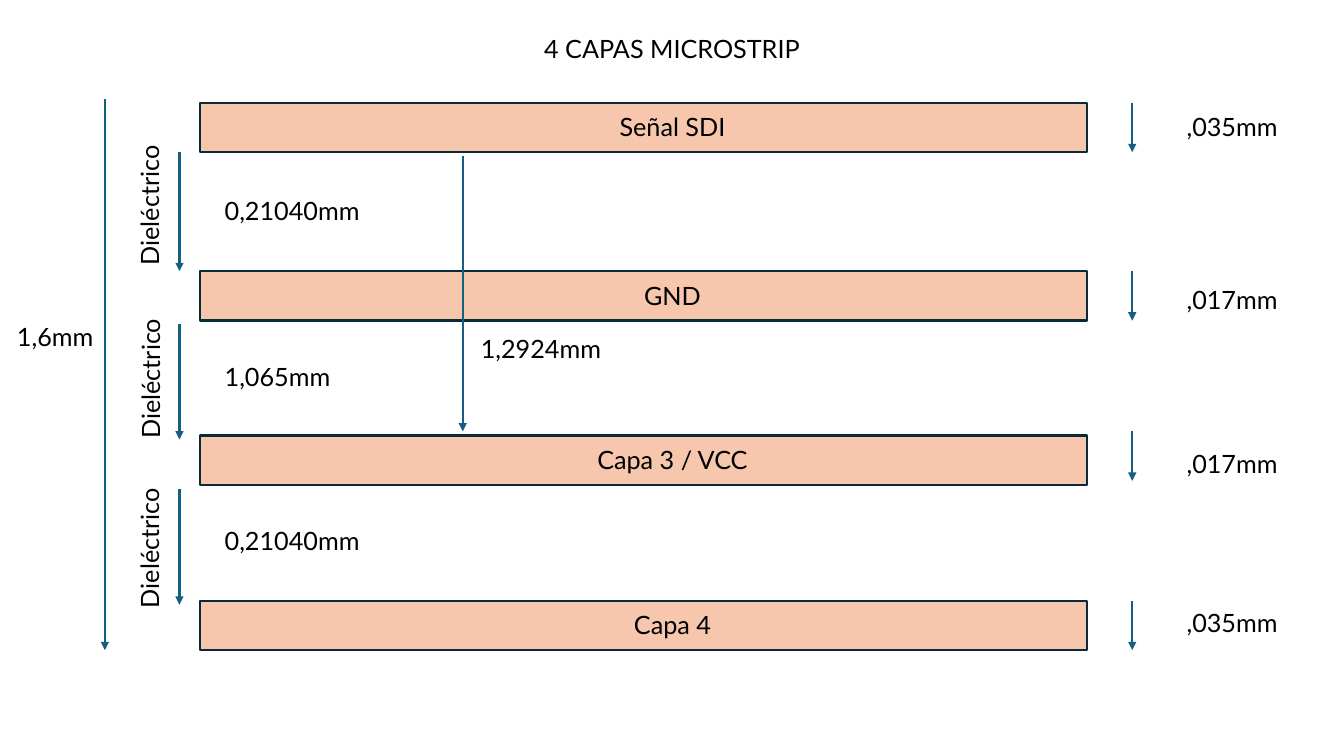
from pptx import Presentation
from pptx.dml.color import RGBColor
from pptx.enum.shapes import MSO_CONNECTOR, MSO_SHAPE
from pptx.enum.text import PP_ALIGN
from pptx.oxml.ns import qn
from pptx.util import Inches, Pt
from lxml.etree import SubElement

FONT = "Lato"
BLACK = "000000"
COPPER = "F6C6AD"
OUTLINE = "092A39"
ARROW = "156082"
LAYER_LEFT, LAYER_WIDTH, LAYER_HEIGHT = 1.98, 8.8, 0.49
LABEL_HEIGHT = 0.4

LAYERS = [
    ("Señal SDI", 1.02, ",035mm", 0, 0.04),
    ("GND", 2.69, ",017mm", 0, 0.08),
    ("Capa 3 / VCC", 4.32, ",017mm", -0.04, 0.08),
    ("Capa 4", 5.96, ",035mm", 0, 0.02),
]
DIELECTRICS = [
    ("0,21040mm", 1.51, 1.18, 0.38, 0.78, 0.52),
    ("1,065mm", 3.21, 1.15, 0.33, 0.79, 0.54),
    ("0,21040mm", 4.85, 1.15, 0.31, 0.78, 0.58),
]


def color(value):
    return RGBColor.from_string(value)


def add_label(slide, text, left, top, width, centered=False, rotation=0):
    shape = slide.shapes.add_textbox(
        Inches(left), Inches(top), Inches(width), Inches(LABEL_HEIGHT))
    shape.rotation = rotation
    text_frame = shape.text_frame
    text_frame.word_wrap = rotation == 0
    text_frame.text = text
    paragraph = text_frame.paragraphs[0]
    paragraph.alignment = PP_ALIGN.CENTER if centered else PP_ALIGN.LEFT
    font = paragraph.runs[0].font
    font.name = FONT
    font.size = Pt(18)
    font.color.rgb = color(BLACK)


def add_down_arrow(slide, left, top, height):
    connector = slide.shapes.add_connector(
        MSO_CONNECTOR.STRAIGHT, Inches(left), Inches(top),
        Inches(left), Inches(top + height))
    connector.line.color.rgb = color(ARROW)
    connector.line.width = Pt(1.5)
    SubElement(connector.line._get_or_add_ln(), qn("a:tailEnd"), type="triangle")
    SubElement(connector._element.spPr, qn("a:effectLst"))


def add_layer(slide, left, top, width, height, name, thickness, arrow_shift, label_shift):
    shape = slide.shapes.add_shape(
        MSO_SHAPE.RECTANGLE, Inches(left), Inches(top), Inches(width), Inches(height))
    shape.shadow.inherit = False
    shape.fill.solid()
    shape.fill.fore_color.rgb = color(COPPER)
    shape.line.color.rgb = color(OUTLINE)
    shape.line.width = Pt(1.5)
    add_label(slide, name, left + 3.26, top + 0.04, 2.86, centered=True)
    right = left + width
    add_down_arrow(slide, right + 0.45, top + arrow_shift, height)
    add_label(slide, thickness, right + 0.89, top + label_shift, 1.4)


def add_dielectric(slide, left, top, height, thickness, value_shift, name_left, name_shift):
    add_down_arrow(slide, left, top, height)
    add_label(slide, thickness, left + 0.35, top + value_shift, 1.6)
    add_label(slide, "Dieléctrico", name_left, top + name_shift - 0.2, 1.4, rotation=270)


def add_span(slide, left, top, height, text, label_left, label_top, label_width):
    add_down_arrow(slide, left, top, height)
    add_label(slide, text, left + label_left, top + label_top, label_width)


def main():
    presentation = Presentation()
    presentation.slide_width = Inches(13.33)
    presentation.slide_height = Inches(7.5)
    slide = presentation.slides.add_slide(presentation.slide_layouts[6])
    add_label(slide, "4 CAPAS MICROSTRIP", 4.52, 0.28, 4.29, centered=True)
    for name, top, thickness, arrow_shift, label_shift in LAYERS:
        add_layer(slide, LAYER_LEFT, top, LAYER_WIDTH, LAYER_HEIGHT,
                  name, thickness, arrow_shift, label_shift)
    for thickness, top, height, value_shift, name_left, name_shift in DIELECTRICS:
        add_dielectric(slide, 1.78, top, height, thickness,
                       value_shift, name_left, name_shift)
    add_span(slide, 1.04, 0.98, 5.47, "1,6mm", -0.97, 2.16, 1.13)
    add_span(slide, 4.59, 1.55, 2.73, "1,2924mm", 0.08, 1.71, 1.85)
    presentation.save("out.pptx")


if __name__ == "__main__":
    main()
